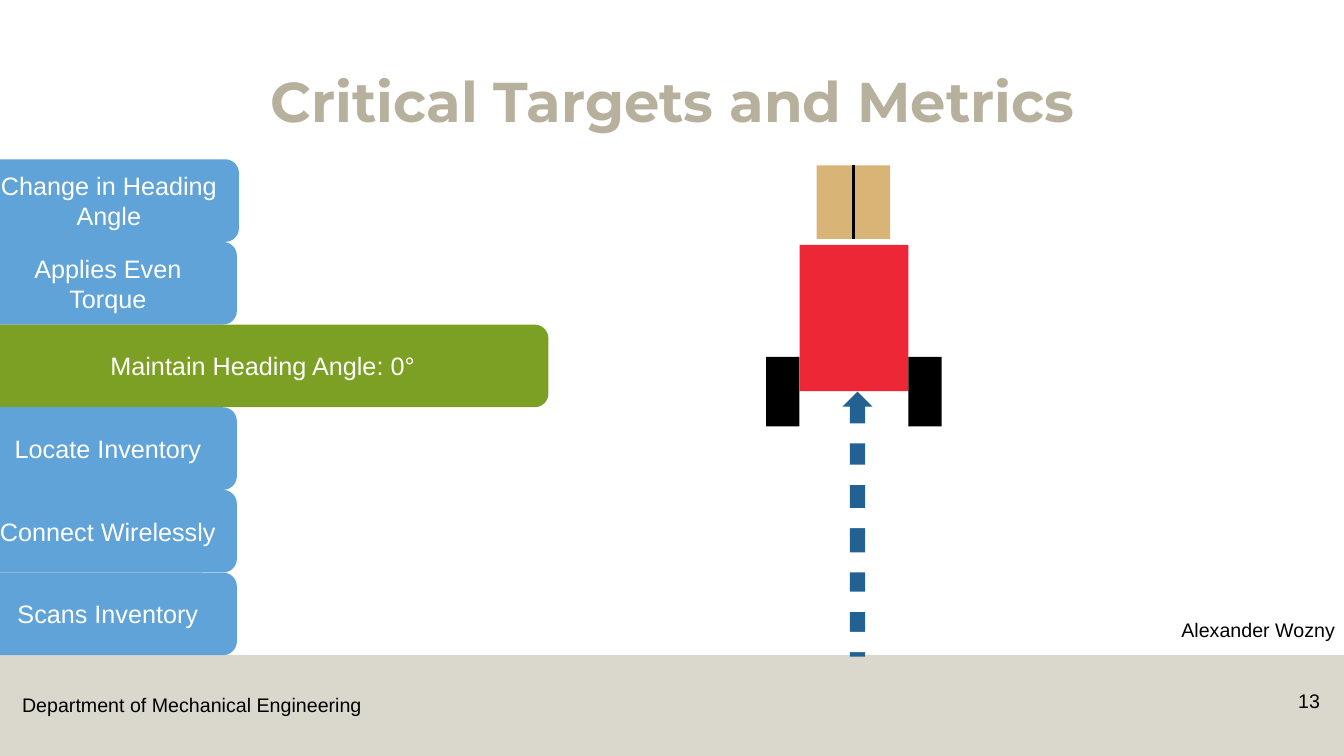
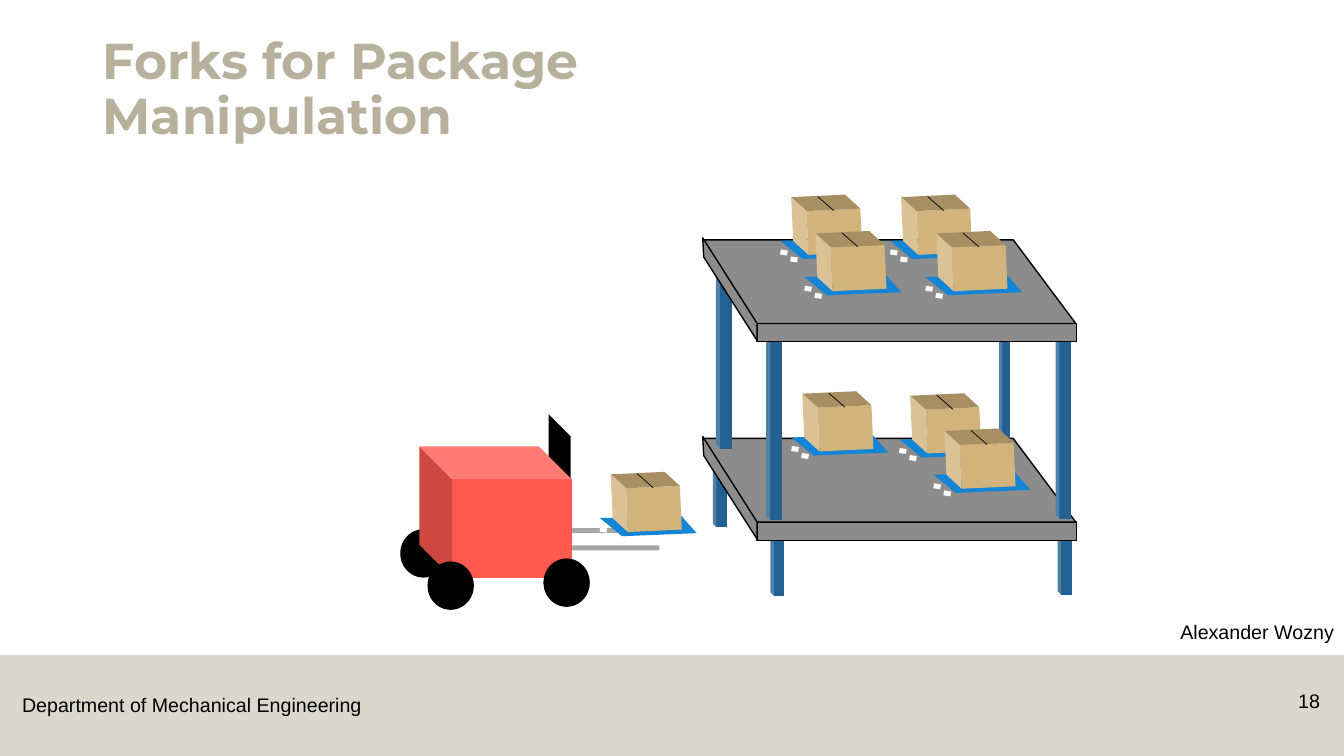
from typing import NamedTuple, Optional, Sequence, Tuple

import lxml.etree
import pptx
import pptx.dml.color
import pptx.enum.shapes
import pptx.enum.text
import pptx.oxml.ns
import pptx.shapes.autoshape
import pptx.shapes.connector
import pptx.slide
import pptx.util

Inches = pptx.util.Inches
Pt = pptx.util.Pt
SHAPE = pptx.enum.shapes.MSO_SHAPE
ALIGN = pptx.enum.text.PP_ALIGN
ANCHOR = pptx.enum.text.MSO_ANCHOR
qn = pptx.oxml.ns.qn
Shape = pptx.shapes.autoshape.Shape
Slide = pptx.slide.Slide
Point = Tuple[float, float]

COLORS = {
    "sand": "B7B09C", "black": "000000", "white": "FFFFFF",
    "tab": "60A3D9", "active": "7CA023", "steel": "236192",
    "robot": "EE2737", "cart": "FF5A50", "fork": "A6A6A6",
    "box_top": "D8B477", "box": "D3B37C", "tray": "1484D4",
    "shelf": "8C8C8C",
}


class Box(NamedTuple):
    left: float
    top: float
    width: float
    height: float


class Tab(NamedTuple):
    text: str
    left: float = -0.21
    width: float = 2.56
    color: str = "tab"


TABS = [
    Tab("Change in Heading Angle", width=2.58),
    Tab("Applies Even\vTorque"),
    Tab("Maintain Heading Angle: 0°", -0.23, 5.67, "active"),
    Tab("Locate Inventory"),
    Tab("Connect Wirelessly"),
    Tab("Scans Inventory"),
]
TAB_TOP, TAB_HEIGHT = 1.58, 0.82

DASH_GAPS = (4.2, 4.61, 5.04, 5.48, 5.87, 6.27)

LOWER_POSTS = [Box(10.49, 5.26, 0.14, 0.64), Box(7.64, 5.27, 0.14, 0.64),
               Box(7.07, 4.59, 0.14, 0.64)]
UPPER_POSTS = [Box(7.1, 2.64, 0.16, 1.81), Box(9.91, 2.54, 0.11, 1.98),
               Box(10.47, 3.33, 0.15, 1.82), Box(7.6, 3.35, 0.16, 1.81)]
SHELF_PACKAGES = [(7.82, 2.06), (8.91, 2.06), (8.06, 2.42), (9.26, 2.42),
                  (7.93, 4.01), (9, 4.03), (9.34, 4.38)]


# Drawing helpers
def rgb(color: str) -> pptx.dml.color.RGBColor:
    return pptx.dml.color.RGBColor.from_string(COLORS[color])


def paint(sp: Shape, color: str, line: Optional[str] = None) -> Shape:
    sp.shadow.inherit = False
    sp.fill.solid()
    sp.fill.fore_color.rgb = rgb(color)
    if line:
        sp.line.color.rgb = rgb(line)
        sp.line.width = Pt(1)
    else:
        sp.line.fill.background()
    return sp


def add_shape(slide: Slide, kind: SHAPE, box: Box, color: str,
              line: Optional[str] = None, rotation: float = 0) -> Shape:
    sp = slide.shapes.add_shape(kind, *(Inches(v) for v in box))
    sp.rotation = rotation
    return paint(sp, color, line)


def add_polygon(slide: Slide, points: Sequence[Point], color: str,
                line: Optional[str] = None) -> Shape:
    pts = [(Inches(x), Inches(y)) for x, y in points]
    builder = slide.shapes.build_freeform(*pts[0], scale=1.0)
    builder.add_line_segments(pts[1:], close=True)
    return paint(builder.convert_to_shape(), color, line)


def add_line(slide: Slide, start: Point, end: Point,
             width: float) -> pptx.shapes.connector.Connector:
    line = slide.shapes.add_connector(
        pptx.enum.shapes.MSO_CONNECTOR.STRAIGHT,
        *(Inches(v) for v in start + end))
    line.line.color.rgb = rgb("black")
    line.line.width = Pt(width)
    lxml.etree.SubElement(line.element.spPr, qn("a:effectLst"))
    return line


def set_text(sp: Shape, text: str, size: float, color: str, align: ALIGN,
             font: str = "Arial", bold: bool = False) -> None:
    tf = sp.text_frame
    tf.text = text
    p = tf.paragraphs[0]
    p.alignment = align
    for r in p.runs:
        r.font.name = font
        r.font.size = Pt(size)
        r.font.bold = bold
        r.font.color.rgb = rgb(color)


def add_label(slide: Slide, box: Box, text: str,
              align: ALIGN = ALIGN.RIGHT, wrap: bool = True) -> Shape:
    sp = slide.shapes.add_textbox(*(Inches(v) for v in box))
    set_text(sp, text, 14, "black", align)
    sp.text_frame.word_wrap = wrap
    return sp


# Shared layout and slide frame
def build_layout(prs: pptx.presentation.Presentation,
                 slide: Slide) -> None:
    """Move the footer band and department name onto the layout."""
    layout = slide.slide_layout
    for ph in list(layout.placeholders):
        if ph.placeholder_format.idx != 0:
            ph.element.getparent().remove(ph.element)
    band = add_shape(slide, SHAPE.RECTANGLE, Box(0, 6.5, 13.33, 1), "sand")
    fill = band.element.spPr.find(qn("a:solidFill"))
    lxml.etree.SubElement(fill[0], qn("a:alpha"), val="50000")
    name = add_label(slide, Box(0.12, 6.83, 3.59, 0.34),
                     "Department of Mechanical Engineering", ALIGN.LEFT, False)
    tree = layout.shapes.element if hasattr(layout.shapes, "element") \
        else layout.placeholders[0].element.getparent()
    for sp in (band, name):
        tree.append(sp.element)


def add_frame(slide: Slide, title: str, top: float, size: float,
              align: ALIGN, number: str, author_box: Box) -> None:
    sp = slide.shapes.title
    sp.left, sp.top = Inches(0.92), Inches(top)
    sp.width, sp.height = Inches(11.5), Inches(1.09)
    set_text(sp, title, size, "sand", align, "Montserrat", True)
    tf = sp.text_frame
    tf.auto_size = pptx.enum.text.MSO_AUTO_SIZE.NONE
    tf.vertical_anchor = ANCHOR.BOTTOM
    tf.paragraphs[0].line_spacing = 0.9
    add_label(slide, Box(12.42, 6.79, 0.77, 0.4), number)
    add_label(slide, author_box, "Alexander Wozny")


# Targets slide
def draw_robot(slide: Slide) -> None:
    add_shape(slide, SHAPE.RECTANGLE, Box(7.93, 2.43, 1.08, 1.45), "robot")
    for left in (7.6, 9.01):
        add_shape(slide, SHAPE.RECTANGLE, Box(left, 3.54, 0.33, 0.69), "black")
    package = add_shape(slide, SHAPE.RECTANGLE, Box(8.1, 1.64, 0.73, 0.73),
                        "box_top")
    seam = add_line(slide, (8.47, 1.64), (8.47, 2.37), 1.5)
    seam.begin_connect(package, 0)
    seam.end_connect(package, 2)


def draw_path(slide: Slide) -> None:
    add_shape(slide, SHAPE.RIGHT_ARROW, Box(7.19, 5.05, 2.63, 0.3), "steel",
              rotation=270)
    for top in DASH_GAPS:
        add_shape(slide, SHAPE.RECTANGLE, Box(8.12, top, 0.81, 0.2), "white")


def draw_tabs(slide: Slide) -> None:
    for i, tab in enumerate(TABS):
        box = Box(tab.left, TAB_TOP + i * TAB_HEIGHT, tab.width, TAB_HEIGHT)
        sp = add_shape(slide, SHAPE.ROUNDED_RECTANGLE, box, tab.color)
        set_text(sp, tab.text, 18, "white", ALIGN.CENTER)
        sp.text_frame.vertical_anchor = ANCHOR.MIDDLE


# Forks slide
def draw_package(slide: Slide, x: float, y: float) -> None:
    """Draw a package on its tray; x and y are the tray's corner."""
    tray = [(-0.08, 0.33), (0.73, 0.31), (0.88, 0.48), (0.14, 0.51)]
    add_polygon(slide, [(x + dx, y + dy) for dx, dy in tray], "tray")
    add_shape(slide, SHAPE.CUBE, Box(x + 0.09, y - 0.17, 0.58, 0.68), "box",
              rotation=267.4)
    add_line(slide, (x + 0.29, y - 0.11), (x + 0.45, y + 0.03), 0.5)
    for dx, dy in ((0.02, 0.49), (-0.08, 0.42)):
        add_shape(slide, SHAPE.RECTANGLE, Box(x + dx, y + dy, 0.07, 0.05),
                  "white", rotation=8.7)


def draw_post(slide: Slide, post: Box) -> None:
    """Draw an upright post as a cube turned on its side."""
    left = post.left + (post.width - post.height) / 2
    top = post.top + (post.height - post.width) / 2
    add_shape(slide, SHAPE.CUBE, Box(left, top, post.height, post.width),
              "steel", rotation=270)


def draw_shelf(slide: Slide, y: float) -> None:
    add_shape(slide, SHAPE.RECTANGLE, Box(7.51, y + 0.83, 3.17, 0.18),
              "shelf", "black")
    surface = [(6.97, 0), (10.05, 0), (10.67, 0.83), (7.5, 0.83)]
    side = [(6.98, 0.17), (6.97, -0.02), (7.51, 0.83), (7.51, 1)]
    for outline in (surface, side):
        add_polygon(slide, [(x, y + dy) for x, dy in outline],
                    "shelf", "black")


def draw_cart(slide: Slide) -> None:
    for left, top in ((5.4, 5.24), (5.61, 5.41)):
        add_shape(slide, SHAPE.RECTANGLE, Box(left, top, 0.93, 0.05), "fork")
    add_shape(slide, SHAPE.OVAL, Box(3.97, 5.25, 0.46, 0.48), "black")
    add_polygon(slide, [(5.44, 4.11), (5.66, 4.33), (5.66, 5.28),
                        (5.44, 5.28)], "black")
    body = add_shape(slide, SHAPE.CUBE, Box(4.16, 4.43, 1.51, 1.3), "cart")
    body.element.spPr.find(qn("a:xfrm")).set("flipH", "1")
    for left, top in ((4.24, 5.57), (5.39, 5.54)):
        add_shape(slide, SHAPE.OVAL, Box(left, top, 0.46, 0.48), "black")
    draw_package(slide, 6.03, 4.81)


def draw_rack(slide: Slide) -> None:
    for posts, shelf_top in ((LOWER_POSTS, 4.35), (UPPER_POSTS, 2.38)):
        for post in posts:
            draw_post(slide, post)
        draw_shelf(slide, shelf_top)
    for x, y in SHELF_PACKAGES:
        draw_package(slide, x, y)


def main() -> None:
    prs = pptx.Presentation()
    prs.slide_width, prs.slide_height = Inches(13.33), Inches(7.5)
    layout = prs.slide_layouts[5]

    targets = prs.slides.add_slide(layout)
    build_layout(prs, targets)
    add_frame(targets, "Critical Targets and Metrics", 0.3, 40, ALIGN.CENTER,
              "13", Box(10.3, 6.08, 3.04, 0.4))
    draw_robot(targets)
    draw_path(targets)
    draw_tabs(targets)

    forks = prs.slides.add_slide(layout)
    add_frame(forks, "Forks for Package\vManipulation", 0.4, 36, ALIGN.LEFT,
              "18", Box(8.83, 6.1, 4.5, 0.4))
    draw_cart(forks)
    draw_rack(forks)

    prs.save("out.pptx")


if __name__ == "__main__":
    main()
